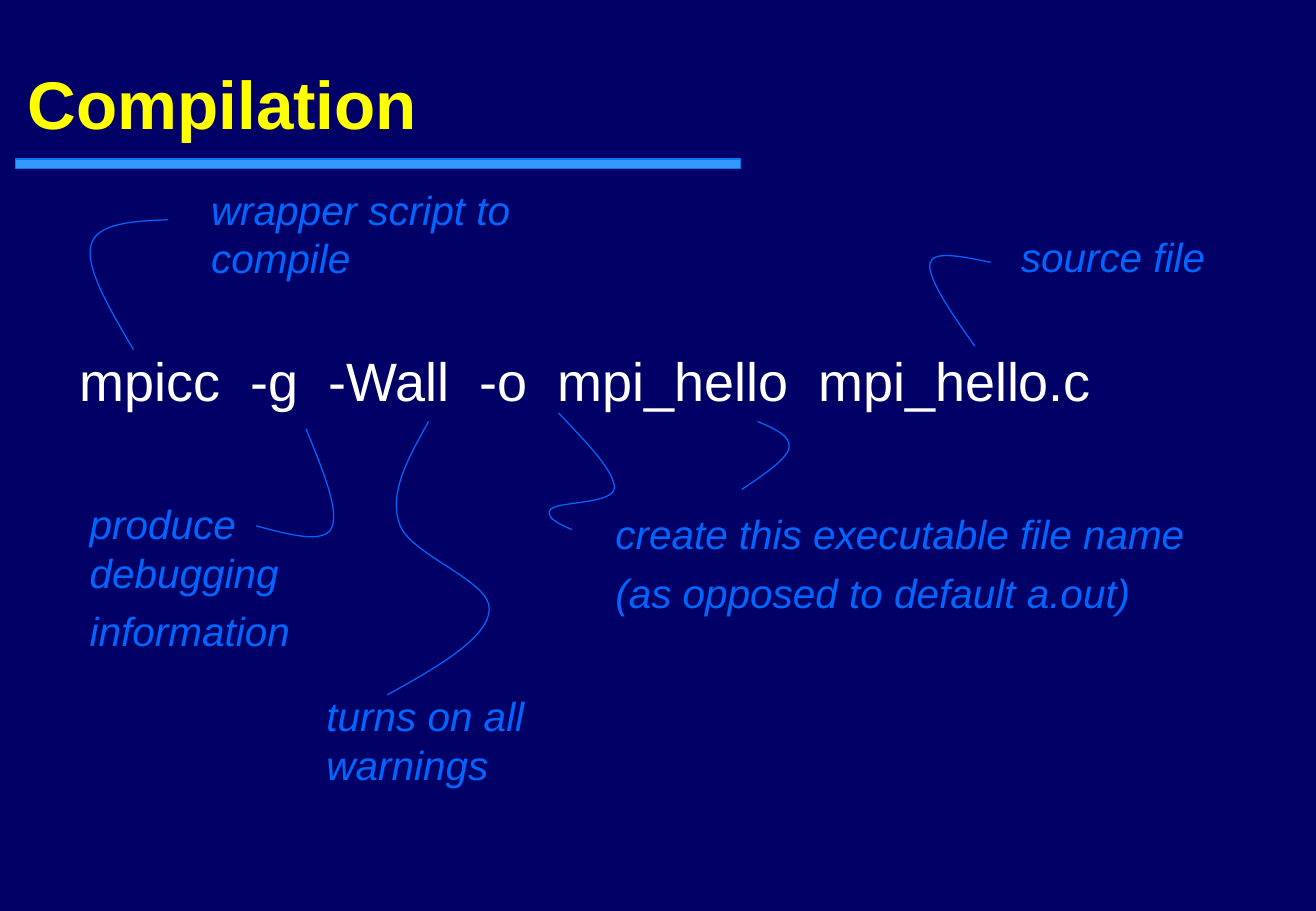
from pptx import Presentation
from pptx.dml.color import RGBColor
from pptx.enum.shapes import MSO_SHAPE
from pptx.enum.text import MSO_ANCHOR, MSO_AUTO_SIZE, PP_ALIGN
from pptx.oxml.ns import qn
from pptx.util import Pt
from lxml.etree import SubElement

PX = 9144
NAVY, YELLOW, WHITE = "000066", "FFFF00", "FFFFFF"
BLUE, RULE_FILL, RULE_LINE = "0066FF", "3399FF", "0078F0"

COMMAND = ("mpicc  -g  -Wall  -o  mpi_hello  mpi_hello.c", (0, 134, 972, 64))

LABELS = [
    (["wrapper script to compile"], (108, 0, 390, 50)),
    (["turns on all warnings"], (203, 417, 325, 50)),
    (["source file"], (775, 39, 172, 50)),
    (["create this executable file name", "(as opposed to default a.out)"], (441, 267, 489, 99)),
    (["produce\ndebugging", "information"], (8, 259, 185, 139)),
]

POINTERS = {
    "wrapper": [(82, 34), (53, 35), (23, 37), (19, 55), (14, 73), (34, 107), (54, 141)],
    "source": [(760, 69), (736, 64), (712, 59), (710, 70), (708, 82), (727, 110), (747, 138)],
    "debugging": [(155, 286), (182, 293), (210, 301), (217, 288), (224, 274), (210, 240),
                  (196, 206)],
    "warnings": [(263, 425), (305, 402), (346, 378), (347, 355), (349, 331), (281, 310),
                 (273, 284), (264, 258), (281, 229), (297, 200)],
    "file name": [(555, 256), (573, 244), (592, 231), (594, 222), (596, 212), (582, 206),
                  (568, 200)],
    "output flag": [(415, 289), (403, 284), (392, 278), (398, 272), (404, 266), (449, 268),
                    (450, 255), (451, 242), (427, 217), (404, 193)],
}


def color(value):
    return RGBColor.from_string(value)


def emu(box):
    return [length * PX for length in box]


def inside(region, box):
    return region[0] + box[0], region[1] + box[1], box[2], box[3]


def write(paragraph, text, size, fill, bold=False, italic=False, before=0):
    paragraph.text = text
    paragraph.alignment = PP_ALIGN.LEFT
    paragraph.space_before = Pt(before)
    for run in paragraph.runs:
        run.font.name = "Arial"
        run.font.size = Pt(size)
        run.font.bold = bold
        run.font.italic = italic
        run.font.color.rgb = color(fill)


def add_text(slide, box, texts, wrap=False, **text_format):
    frame = slide.shapes.add_textbox(*emu(box)).text_frame
    frame.word_wrap = wrap
    frame.auto_size = MSO_AUTO_SIZE.SHAPE_TO_FIT_TEXT
    for index, text in enumerate(texts):
        paragraph = frame.add_paragraph() if index else frame.paragraphs[0]
        write(paragraph, text, **text_format)


def outline(shape, line_color):
    shape.line.color.rgb = color(line_color)
    shape.line.width = Pt(0.75)
    shape.shadow.inherit = False


def add_curve(slide, region, points):
    start, *others = [(region[0] + x, region[1] + y) for x, y in points]
    builder = slide.shapes.build_freeform(*start, scale=PX)
    builder.add_line_segments(others, close=False)
    shape = builder.convert_to_shape()
    shape.fill.background()
    outline(shape, BLUE)
    path = next(shape._element.iter(qn("a:path")))
    segments = path.findall(qn("a:lnTo"))
    for first in range(0, len(segments), 3):
        bezier = SubElement(path, qn("a:cubicBezTo"))
        for segment in segments[first:first + 3]:
            bezier.append(segment[0])
            path.remove(segment)


def add_header(slide, region):
    left, top, width, height = region
    rule = slide.shapes.add_shape(
        MSO_SHAPE.RECTANGLE, *emu((left, top + height - 8, 597, 8)))
    rule.fill.solid()
    rule.fill.fore_color.rgb = color(RULE_FILL)
    outline(rule, RULE_LINE)
    title = slide.shapes.title
    title.left, title.top, title.width, title.height = emu((left, top, width, height - 16))
    title.text_frame.vertical_anchor = MSO_ANCHOR.BOTTOM
    write(title.text_frame.paragraphs[0], "Compilation", size=40, fill=YELLOW, bold=True)


def add_annotated_command(slide, region):
    text, box = COMMAND
    add_text(slide, inside(region, box), [text], wrap=True, size=32, fill=WHITE, before=8)
    for texts, box in LABELS:
        add_text(slide, inside(region, box), texts, size=24, fill=BLUE, italic=True, before=6)
    for points in POINTERS.values():
        add_curve(slide, region, points)


def main():
    presentation = Presentation()
    presentation.slide_width, presentation.slide_height = emu((1084, 750))
    slide = presentation.slides.add_slide(presentation.slide_layouts[5])
    slide.background.fill.solid()
    slide.background.fill.fore_color.rgb = color(NAVY)
    add_header(slide, (13, 5, 1058, 134))
    add_annotated_command(slide, (56, 147, 972, 467))
    presentation.save("out.pptx")


if __name__ == "__main__":
    main()
